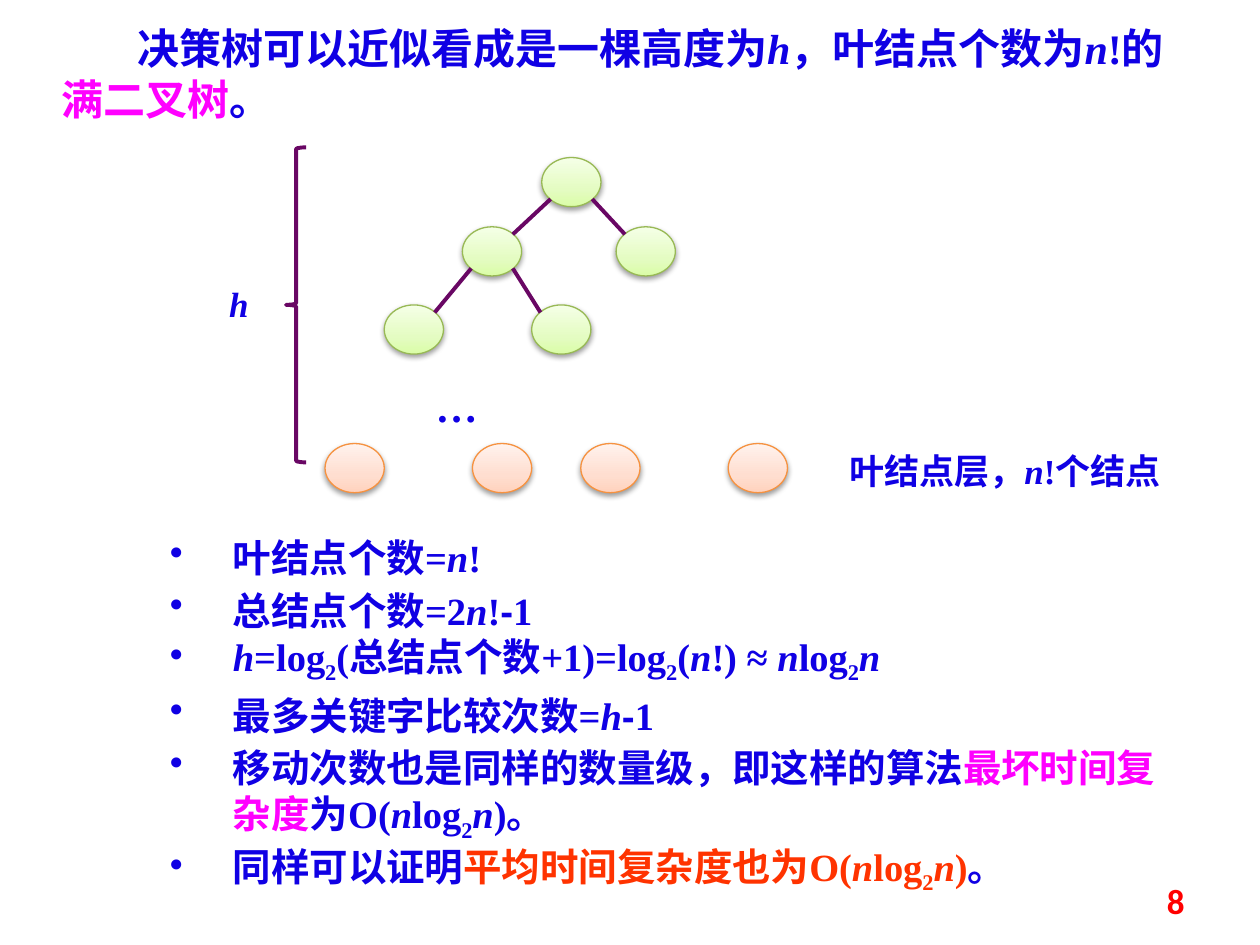
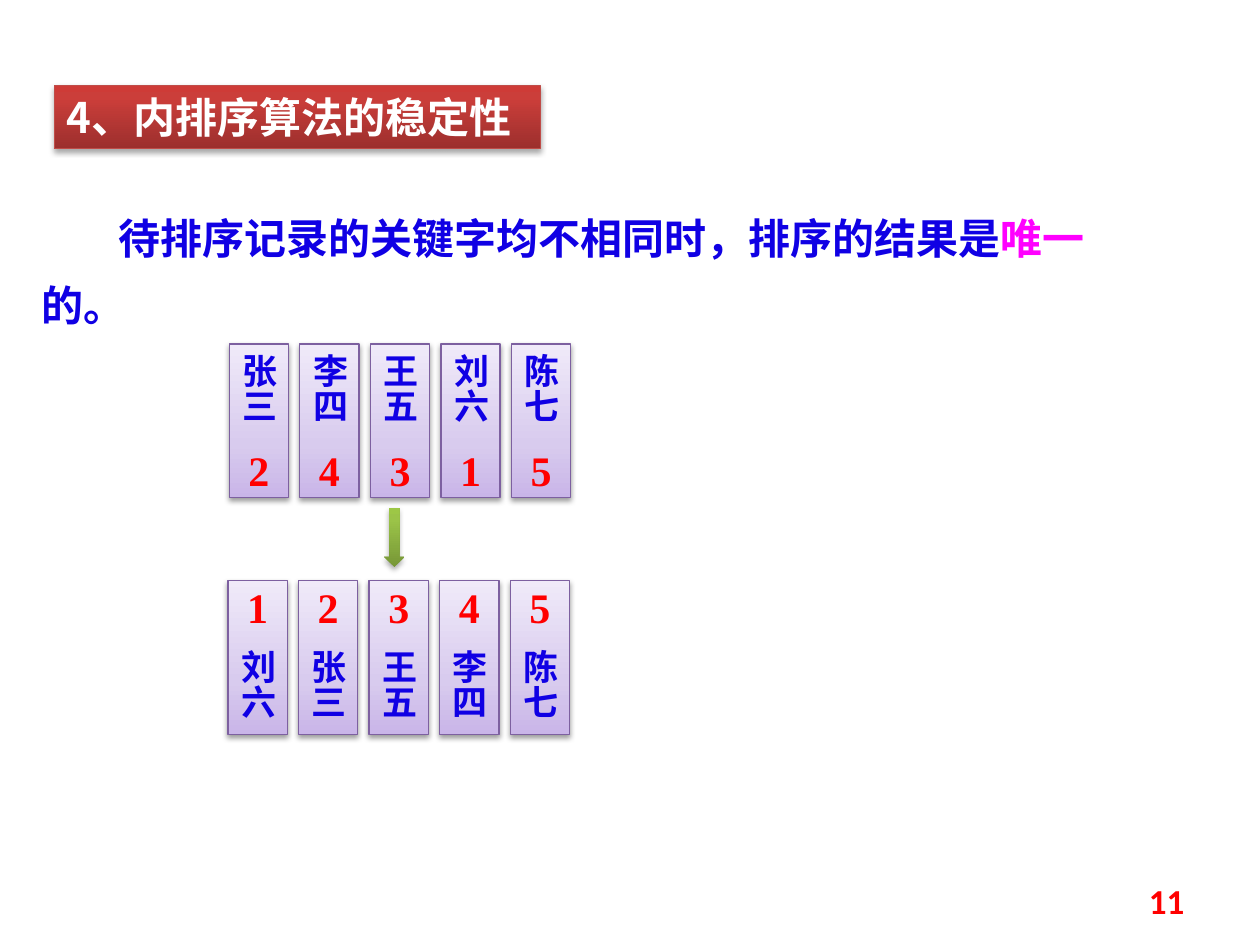
from lxml import etree
from pptx import Presentation
from pptx import util as u
from pptx.dml.color import RGBColor
from pptx.enum import shapes, text
from pptx.oxml import ns

PX = 9144  # 100 px to the inch
SERIF, SANS, NUMBER = "Times New Roman", "Noto Sans CJK SC", "Calibri"
COLORS = {
    "blue": "1000E4", "pink": "FF00FF", "orange": "FF3300", "red": "FF0000",
    "white": "FFFFFF", "purple": "690764", "shadow": "000000",
}

# Gradient stops run from the bottom of the shape to its top
LOOKS = {
    "node": {"stops": [(0, "DAFDA7"), (35, "E4FCC2"), (100, "F5FFE7")], "line": "98B955"},
    "leaf": {"stops": [(0, "FFD2BD"), (35, "FFDED0"), (100, "FFF2ED")], "line": "F69240"},
    "card": {"stops": [(0, "C9B5E8"), (35, "D8CBEE"), (100, "F0EAF9")], "line": "7D60A0"},
    "title": {"stops": [(0, "9C2F2D"), (80, "CB3E3A"), (100, "CE3B37")], "line": "BF4C48",
              "alpha": 35, "distance": 23000},
    "arrow": {"stops": [(0, "779737"), (80, "9BC348"), (100, "9DC746")], "line": None,
              "alpha": 35, "distance": 23000},
}

# A run is a string, or a string with style words
N = ("n", "italic")
H = ("h", "italic")
LOG_BASE = ("2", "sub")
MINUS = ("-", "arial")

# Decision tree slide
TREE_INTRO = ["决策树可以近似看成是一棵高度为", H, "，叶结点个数为", N, "!的",
              ("满二叉树", "pink"), "。"]
NODE_SIZE = (47, 39)
NODES = {"root": (430, 125), "left": (367, 180), "right": (489, 180),
         "left.left": (305, 242), "left.right": (422, 242)}
EDGES = [("root", "left"), ("root", "right"),
         ("left", "left.left"), ("left", "left.right")]
LEAF_LEFTS, LEAF_TOP = (258, 375, 461, 578), 352
TREE_LABELS = [
    ((336, 297, 117, 50), ["…"], 24),
    ((664, 352, 289, 44), ["叶结点层，", N, "!个结点"], 20),
    ((172, 219, 55, 44), [H], 20),
]
CONCLUSIONS = [
    ["叶结点个数=", N, "!"],
    ["总结点个数=2", N, "!", MINUS, "1"],
    [H, "=log", LOG_BASE, "(总结点个数+1)=log", LOG_BASE, "(", N, "!) ≈ ", N,
     "log", LOG_BASE, N],
    ["最多关键字比较次数=", H, MINUS, "1"],
    ["移动次数也是同样的数量级，即这样的算法", ("最坏时间复杂度", "pink"), "为O(", N,
     "log", LOG_BASE, N, ")。"],
    ["同样可以证明", ("平均时间复杂度也为O(", "orange"), ("n", "italic orange"),
     ("log", "orange"), ("2", "sub orange"), ("n", "italic orange"), (")", "orange"), "。"],
]

# Stability slide
STABILITY_TITLE = "4、内排序算法的稳定性"
STABILITY_INTRO = ["待排序记录的关键字均不相同时，排序的结果是", ("唯一", "pink"), "的。"]
CARD_SIZE, CARD_PITCH = (47, 122), 56
CARD_ROWS = [
    {"left": 182, "top": 273, "names_top": 281, "keys_top": 348,
     "records": [("张三", 2), ("李四", 4), ("王五", 3), ("刘六", 1), ("陈七", 5)]},
    {"left": 181, "top": 461, "names_top": 516, "keys_top": 457,
     "records": [("刘六", 1), ("张三", 2), ("王五", 3), ("李四", 4), ("陈七", 5)]},
]


def px(*lengths):
    return [u.Emu(length * PX) for length in lengths]


def rgb(name):
    return RGBColor.from_string(COLORS.get(name, name))


def sub(parent, tag, **attributes):
    return etree.SubElement(parent, ns.qn(tag), {k: str(v) for k, v in attributes.items()})


def write(frame, paragraphs, size=24, font=SERIF, color="blue", bold=True, align="LEFT",
          anchor="TOP", spacing=None, hanging=0, first_line=0, right_inset=10, bullet=None):
    """Fill a text frame; every paragraph is a list of runs."""
    frame.word_wrap = True
    frame.auto_size = text.MSO_AUTO_SIZE.NONE
    frame.vertical_anchor = getattr(text.MSO_ANCHOR, anchor)
    frame.margin_right = u.Emu(right_inset * PX)
    for index, runs in enumerate(paragraphs):
        paragraph = frame.paragraphs[0] if index == 0 else frame.add_paragraph()
        paragraph.alignment = getattr(text.PP_ALIGN, align)
        if spacing:
            paragraph.line_spacing = u.Pt(spacing)
        properties = paragraph._p.get_or_add_pPr()
        properties.set("marL", str(hanging * PX))
        properties.set("indent", str((first_line - hanging) * PX))
        if bullet:
            sub(properties, "a:buChar", char=bullet)
        for item in runs:
            words, styles = (item, "") if isinstance(item, str) else item
            styles = styles.split()
            run = paragraph.add_run()
            run.text = words
            run.font.size = u.Pt(size)
            run.font.bold = bold
            run.font.italic = "italic" in styles
            run.font.color.rgb = rgb(next((s for s in styles if s in COLORS), color))
            run.font.name = "Arial" if "arial" in styles else font
            run_properties = run._r.get_or_add_rPr()
            sub(run_properties, "a:ea", typeface=SANS)
            if "sub" in styles:
                run_properties.set("baseline", "-25000")


def add_text(slide, box, paragraphs, vertical=False, **style):
    frame = slide.shapes.add_textbox(*px(*box)).text_frame
    write(frame, paragraphs, **style)
    if vertical:
        frame.margin_left = frame.margin_right = frame.margin_top = frame.margin_bottom = 0
        frame._txBody.bodyPr.set("vert", "eaVert")


def decorate(shape, stops, line, alpha=38, distance=20000):
    """Give a shape its upward gradient, outline and soft shadow."""
    shape.fill.gradient()
    shape.fill.gradient_angle = 90
    stop_list = shape._element.spPr.find(".//" + ns.qn("a:gsLst"))
    for stop in list(stop_list):
        stop_list.remove(stop)
    for position, color in stops:
        sub(sub(stop_list, "a:gs", pos=position * 1000), "a:srgbClr", val=color)
    if line:
        shape.line.color.rgb = rgb(line)
        shape.line.width = u.Pt(0.75)
    else:
        shape.line.fill.background()
    shape.shadow.inherit = False
    effects = shape._element.spPr.find(ns.qn("a:effectLst"))
    shadow = sub(effects, "a:outerShdw", blurRad=40000, dist=distance, dir=5400000,
                 rotWithShape=0)
    sub(sub(shadow, "a:srgbClr", val=COLORS["shadow"]), "a:alpha", val=alpha * 1000)


def add_decorated(slide, kind, look, *box):
    decorate(slide.shapes.add_shape(kind, *px(*box)), **LOOKS[look])


def add_edge(slide, parent, child):
    """Draw a line from the lower edge of a node to the upper edge of its child."""
    width, height = NODE_SIZE
    inset_x, inset_y = round(width * 0.15), round(height * 0.15)
    near, far = inset_x, width - inset_x
    start_x, end_x = (near, far) if child[0] < parent[0] else (far, near)
    edge = slide.shapes.add_connector(
        shapes.MSO_CONNECTOR.STRAIGHT,
        *px(parent[0] + start_x, parent[1] + height - inset_y,
            child[0] + end_x, child[1] + inset_y))
    edge.line.color.rgb = rgb("purple")
    edge.line.width = u.Pt(2.25)
    sub(edge._element.spPr, "a:effectLst")


def add_page_number(slide, number):
    add_text(slide, (717, 695, 233, 40), [[str(number)]], size=20, font=NUMBER,
             color="red", align="RIGHT", anchor="MIDDLE")


def build_tree_slide(presentation):
    slide = presentation.slides.add_slide(presentation.slide_layouts[6])
    add_text(slide, (39, 13, 922, 91), [TREE_INTRO], spacing=29, first_line=60)

    # Tree, with its leaf level
    oval = shapes.MSO_SHAPE.OVAL
    for position in NODES.values():
        add_decorated(slide, oval, "node", *position, *NODE_SIZE)
    for parent, child in EDGES:
        add_edge(slide, NODES[parent], NODES[child])
    for left in LEAF_LEFTS:
        add_decorated(slide, oval, "leaf", left, LEAF_TOP, *NODE_SIZE)

    # Height brace and labels
    brace = slide.shapes.add_shape(shapes.MSO_SHAPE.LEFT_BRACE, *px(227, 117, 16, 250))
    brace.fill.background()
    brace.line.color.rgb = rgb("purple")
    brace.line.width = u.Pt(2.25)
    brace.shadow.inherit = False
    for box, runs, size in TREE_LABELS:
        add_text(slide, box, [runs], size=size)

    add_text(slide, (125, 414, 820, 305), CONCLUSIONS, size=22, spacing=30,
             hanging=50, bullet="•")
    add_page_number(slide, 8)


def build_stability_slide(presentation):
    slide = presentation.slides.add_slide(presentation.slide_layouts[5])
    title = slide.shapes.title
    title.left, title.top, title.width, title.height = px(43, 68, 386, 50)
    decorate(title, **LOOKS["title"])
    write(title.text_frame, [[STABILITY_TITLE]], font=SANS, color="white", anchor="MIDDLE")
    add_text(slide, (23, 151, 917, 63), [STABILITY_INTRO], spacing=38, first_line=61,
             right_inset=60)

    # Records before and after sorting, each key centred on its card
    card_width, _ = CARD_SIZE
    for row in CARD_ROWS:
        for index, (name, key) in enumerate(row["records"]):
            left = row["left"] + index * CARD_PITCH
            add_decorated(slide, shapes.MSO_SHAPE.RECTANGLE, "card", left, row["top"], *CARD_SIZE)
            add_text(slide, (left + 6, row["names_top"], 34, 63), [[name]],
                     vertical=True, size=20, font=SANS)
            add_text(slide, (left, row["keys_top"], card_width, 50), [[str(key)]],
                     color="red", align="CENTER")

    add_decorated(slide, shapes.MSO_SHAPE.DOWN_ARROW, "arrow", 305, 403, 16, 47)
    add_page_number(slide, 11)


def main():
    presentation = Presentation()
    presentation.slide_width, presentation.slide_height = px(1000, 750)
    build_tree_slide(presentation)
    build_stability_slide(presentation)
    presentation.save("out.pptx")


if __name__ == "__main__":
    main()
